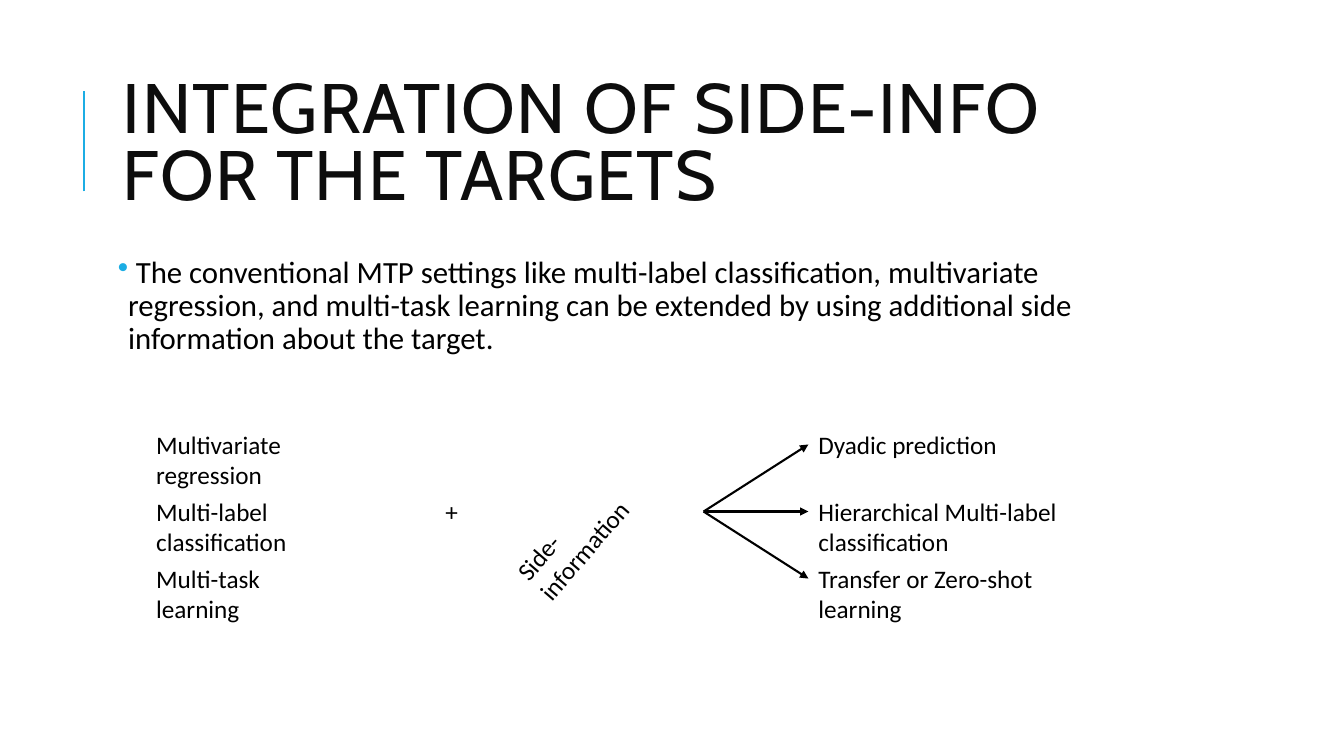
from dataclasses import dataclass, field

from lxml.etree import SubElement
from pptx import Presentation
from pptx.dml.color import RGBColor
from pptx.enum.shapes import MSO_CONNECTOR
from pptx.enum.text import MSO_ANCHOR, MSO_AUTO_SIZE
from pptx.oxml.ns import qn
from pptx.util import Inches, Pt

SLIDE_WIDTH, SLIDE_HEIGHT = Inches(13.33), Inches(7.5)
BLACK, TITLE_INK, ACCENT = "000000", "0D0D0D", "1CADE4"
ROW_TOP, ROW_STEP, LABEL_HEIGHT = 56.13, 8.87, 5.33
SETTING_LEFT, RESULT_LEFT, ARROW_LEFT = 10.88, 60.15, 52.35


@dataclass
class TextBlock:
    text: str
    left: float
    top: float
    width: float
    height: float = LABEL_HEIGHT
    size: float = 18
    font: str = "Calibri"
    ink: str = BLACK
    frame: dict = field(default_factory=dict)
    paragraph: dict = field(default_factory=dict)
    rotation: float = 0


def colour(hex_value: str) -> RGBColor:
    return RGBColor.from_string(hex_value)


def across(share: float) -> int:
    return round(SLIDE_WIDTH * share / 100)


def down(share: float) -> int:
    return round(SLIDE_HEIGHT * share / 100)


def row_top(row: int) -> float:
    return ROW_TOP + row * ROW_STEP


def set_all(target, values: dict) -> None:
    for name, value in values.items():
        setattr(target, name, value)


def add_text(slide, block: TextBlock):
    shape = slide.shapes.add_textbox(
        across(block.left), down(block.top), across(block.width), down(block.height))
    shape.rotation = block.rotation
    frame = shape.text_frame
    set_all(frame, {"word_wrap": True, "auto_size": MSO_AUTO_SIZE.NONE,
                    "vertical_anchor": MSO_ANCHOR.TOP, **block.frame})
    paragraph = frame.paragraphs[0]
    set_all(paragraph, block.paragraph)
    run = paragraph.add_run()
    run.text = block.text
    set_all(run.font, {"size": Pt(block.size), "name": block.font})
    run.font.color.rgb = colour(block.ink)
    return shape


def add_bullet(paragraph, ink: str) -> None:
    properties = paragraph._p.get_or_add_pPr()
    properties.set("marL", str(Inches(0.1)))
    properties.set("indent", str(Inches(-0.1)))
    bullet_colour = SubElement(properties, qn("a:buClr"))
    SubElement(bullet_colour, qn("a:srgbClr"), val=ink)
    SubElement(properties, qn("a:buChar"), char="•")


def add_line(slide, start: tuple[float, float], end: tuple[float, float], ink: str):
    connector = slide.shapes.add_connector(
        MSO_CONNECTOR.STRAIGHT, across(start[0]), down(start[1]), across(end[0]), down(end[1]))
    connector.line.width = Pt(1.5)
    connector.line.color.rgb = colour(ink)
    SubElement(connector._element.spPr, qn("a:effectLst"))
    return connector


def add_arrow(slide, start: tuple[float, float], target) -> None:
    connector = add_line(slide, start, start, BLACK)
    connector.end_connect(target, 1)
    SubElement(connector.line._get_or_add_ln(), qn("a:tailEnd"), type="triangle")


TITLE = TextBlock(
    "INTEGRATION OF SIDE-INFO FOR THE TARGETS", 8.4, 8.53, 79.73, 21.87, 50, "Cabin", TITLE_INK,
    frame={"vertical_anchor": MSO_ANCHOR.MIDDLE}, paragraph={"line_spacing": 0.8})
BODY = TextBlock(
    " The conventional MTP settings like multi-label classification, multivariate regression, "
    "and multi-task learning can be extended by using additional side information about the target.",
    8.4, 33.33, 79.5, 16.67, 22,
    frame={f"margin_{side}": Inches(0.05) for side in ("left", "top", "right", "bottom")},
    paragraph={"line_spacing": 0.9, "space_before": Pt(12), "space_after": Pt(2)})
SETTINGS = [("Multivariate regression", 18.5), ("Multi-label classification", 19.4),
            ("Multi-task learning", 15.4)]
RESULTS = [("Dyadic prediction", 15), ("Hierarchical Multi-label classification", 28.8),
           ("Transfer or Zero-shot learning", 23.6)]
ADDITIONS = [TextBlock("Side-information", 35.85, row_top(1), 14.18, rotation=310.7),
             TextBlock("+", 32.4, row_top(1), 2.77)]


def add_labels(slide, labels: list[tuple[str, float]], left: float) -> list:
    return [add_text(slide, TextBlock(text, left, row_top(row), width))
            for row, (text, width) in enumerate(labels)]


def main() -> None:
    """Build the slide on side information for the targets."""
    presentation = Presentation()
    set_all(presentation, {"slide_width": SLIDE_WIDTH, "slide_height": SLIDE_HEIGHT})
    slide = presentation.slides.add_slide(presentation.slide_layouts[6])

    add_line(slide, (6.22, 25.33), (6.22, 12), ACCENT)
    title = add_text(slide, TITLE)
    title.text_frame.paragraphs[0].runs[0].font._element.set("spc", "100")
    body = add_text(slide, BODY)
    add_bullet(body.text_frame.paragraphs[0], ACCENT)

    add_labels(slide, SETTINGS, SETTING_LEFT)
    for addition in ADDITIONS:
        add_text(slide, addition)
    for result in add_labels(slide, RESULTS, RESULT_LEFT):
        add_arrow(slide, (ARROW_LEFT, row_top(1) + LABEL_HEIGHT / 2), result)

    presentation.save("out.pptx")


if __name__ == "__main__":
    main()
